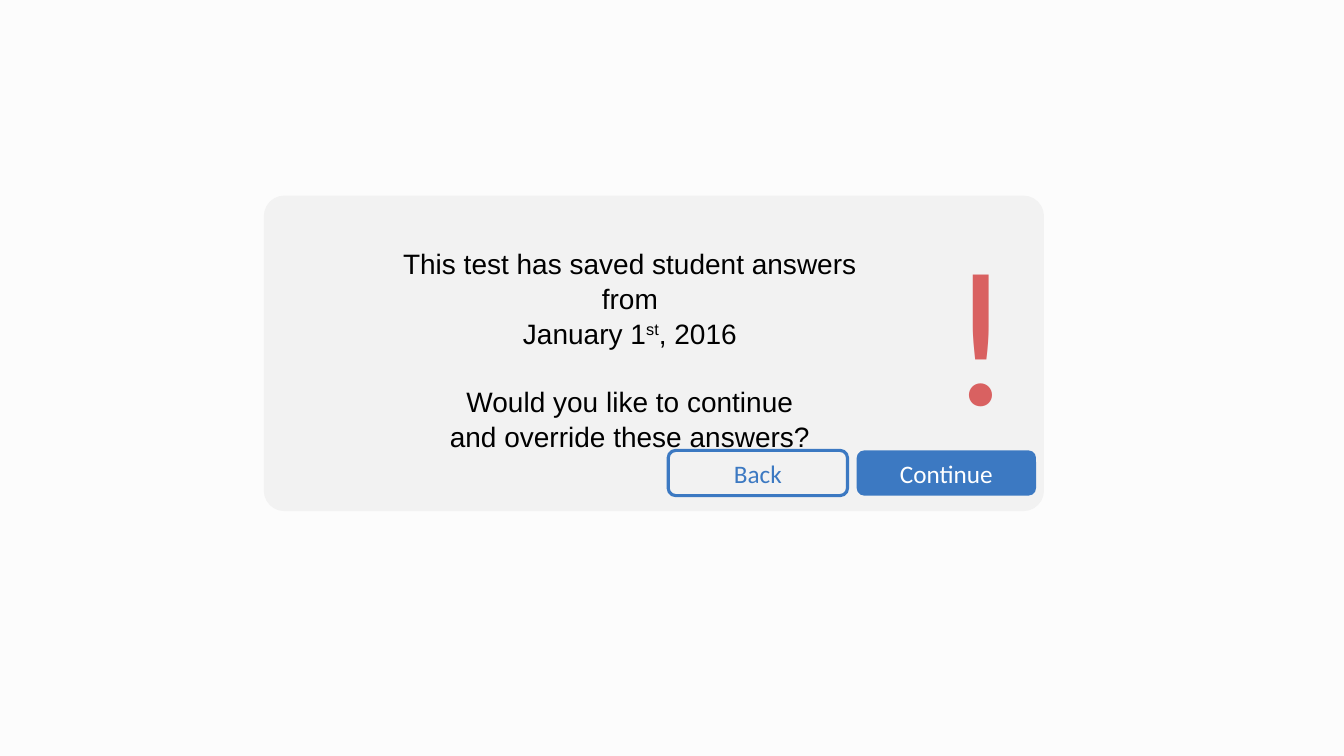
from pptx import Presentation
from pptx.dml.color import RGBColor
from pptx.enum.shapes import MSO_SHAPE
from pptx.enum.text import MSO_ANCHOR, MSO_AUTO_SIZE, PP_ALIGN
from pptx.util import Cm, Pt

BACKGROUND = RGBColor(0xFC, 0xFC, 0xFC)
PANEL = RGBColor(0xF2, 0xF2, 0xF2)
BLUE = RGBColor(0x3C, 0x79, 0xC2)
RED = RGBColor(0xD9, 0x61, 0x61)
WHITE = RGBColor(0xFF, 0xFF, 0xFF)
BLACK = RGBColor(0, 0, 0)

BUTTON_TOP, BUTTON_WIDTH, BUTTON_HEIGHT = 11.35, 4.52, 1.14
MESSAGE = [
    ["This test has saved student answers from"],
    ["January 1", "st", ", 2016"],
    ["Would you like to continue"],
    ["and override these answers?"],
]


def add_span(para, text, font, size, color):
    para.alignment = PP_ALIGN.CENTER
    span = para.add_run()
    span.text = text
    span.font.name = font
    span.font.size = Pt(size)
    span.font.color.rgb = color
    return span


def add_rounded(page, left, top, width, height, fill=None, line=None):
    box = page.shapes.add_shape(MSO_SHAPE.ROUNDED_RECTANGLE,
                                Cm(left), Cm(top), Cm(width), Cm(height))
    box.shadow.inherit = False
    if fill is None:
        box.fill.background()
    else:
        box.fill.solid()
        box.fill.fore_color.rgb = fill
    if line is None:
        box.line.fill.background()
    else:
        box.line.color.rgb = line
        box.line.width = Pt(2.25)
    return box


def add_button(page, left, label, color, fill=None, line=None):
    box = add_rounded(page, left, BUTTON_TOP, BUTTON_WIDTH, BUTTON_HEIGHT, fill, line)
    box.text_frame.vertical_anchor = MSO_ANCHOR.MIDDLE
    add_span(box.text_frame.paragraphs[0], label, "Calibri", 18, color)


def add_text_frame(page, left, top, width, height):
    box = page.shapes.add_textbox(Cm(left), Cm(top), Cm(width), Cm(height))
    box.text_frame.word_wrap = True
    box.text_frame.auto_size = MSO_AUTO_SIZE.SHAPE_TO_FIT_TEXT
    return box.text_frame


def add_message(page):
    frame = add_text_frame(page, 9.27, 6.05, 13.21, 4.52)
    for index, parts in enumerate(MESSAGE):
        para = frame.add_paragraph() if index else frame.paragraphs[0]
        para.line_spacing = 1.04
        # The question stands one line below the statement
        if index == 2:
            para.space_before = Pt(24)
        for part in parts:
            span = add_span(para, part, "Arial", 20, BLACK)
            if part == "st":
                span.font._element.set("baseline", "30000")


def main():
    deck = Presentation()
    deck.slide_width, deck.slide_height = Cm(33.87), Cm(19.05)
    page = deck.slides.add_slide(deck.slide_layouts[6])
    page.background.fill.solid()
    page.background.fill.fore_color.rgb = BACKGROUND

    # Dialog panel
    panel = add_rounded(page, 6.65, 4.93, 19.66, 7.95, PANEL)
    panel.adjustments[0] = 0.065

    # Warning mark and message
    mark = add_text_frame(page, 22.91, 5.23, 3.63, 6.15)
    add_span(mark.paragraphs[0], "!", "Calibri", 138, RED)
    add_message(page)

    # Buttons
    add_button(page, 21.59, "Continue", WHITE, fill=BLUE)
    add_button(page, 16.84, "Back", BLUE, line=BLUE)

    deck.save("out.pptx")


if __name__ == "__main__":
    main()
